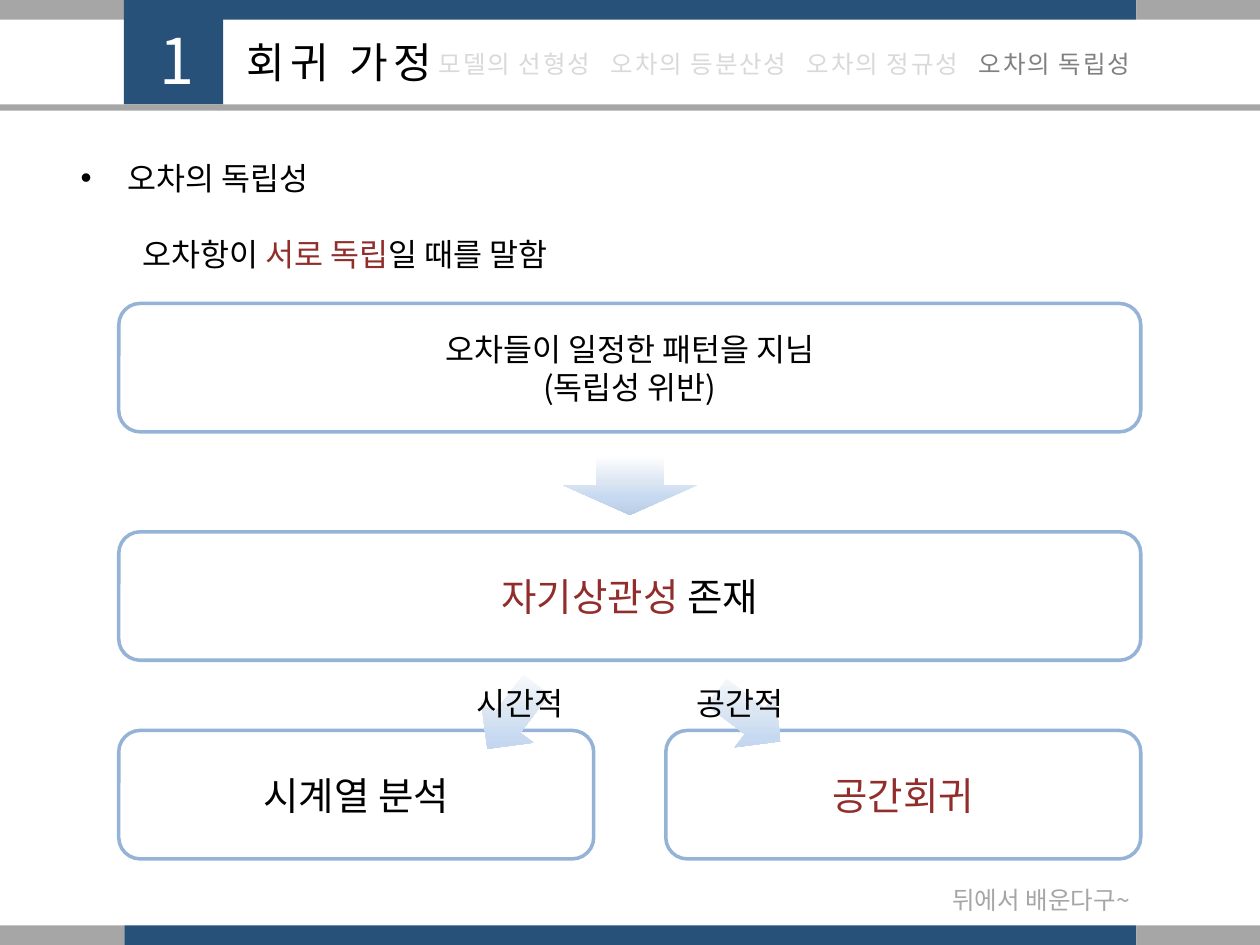
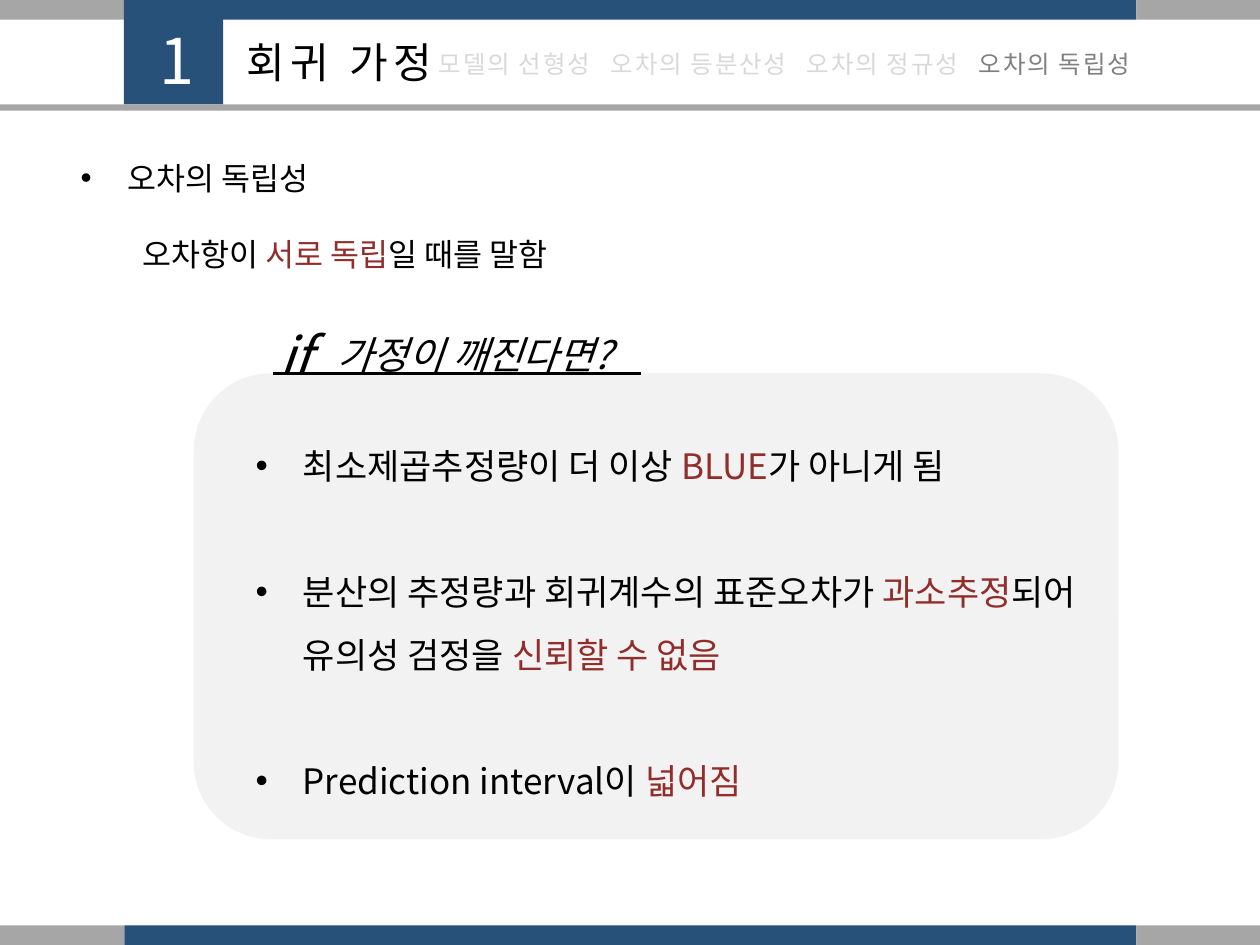
from lxml import etree
from pptx import Presentation
from pptx.dml.color import RGBColor
from pptx.enum.shapes import MSO_CONNECTOR, MSO_SHAPE
from pptx.enum.text import MSO_ANCHOR, MSO_AUTO_SIZE, PP_ALIGN
from pptx.oxml.ns import qn
from pptx.util import Pt

RECT, ROUNDED = MSO_SHAPE.RECTANGLE, MSO_SHAPE.ROUNDED_RECTANGLE
ARROW, STRAIGHT = MSO_SHAPE.RIGHT_ARROW, MSO_CONNECTOR.STRAIGHT
LEFT, CENTER, RIGHT = PP_ALIGN.LEFT, PP_ALIGN.CENTER, PP_ALIGN.RIGHT
TOP, MIDDLE = MSO_ANCHOR.TOP, MSO_ANCHOR.MIDDLE

FONT = "Noto Sans CJK KR"
NAVY, GRAY, BLACK, WHITE = "28517A", "A6A6A6", "000000", "FFFFFF"
RED, BORDER, PANEL = "912E2C", "95B3D7", "F2F2F2"
FADED, CURRENT = "D9D9D9", "808080"
ARROW_FADE = [(0, WHITE), (44, "DCE6F2"), (71, "C6D9F1"), (100, "B9CDE5")]

WIDTH, HEIGHT = 720, 540
BAND = 11.2
BAND_EDGES = [0, 71, 649.4, WIDTH]
HANGING = 27
TOPICS = ["모델의 선형성", "오차의 등분산성", "오차의 정규성", "오차의 독립성"]
TOPIC_TABS = [98.3, 210.3, 308.6]


def rgb(hex_color):
    return RGBColor.from_string(hex_color)


def place(shape, box):
    shape.left, shape.top, shape.width, shape.height = map(Pt, box)
    return shape


def set_bullet(paragraph, bullet):
    """Hang the paragraph; a bullet of None keeps the indent without a mark."""
    properties = paragraph._p.get_or_add_pPr()
    properties.set("marL", str(Pt(HANGING)))
    properties.set("indent", str(-Pt(HANGING) if bullet else 0))
    if bullet:
        etree.SubElement(properties, qn("a:buFont"), typeface="Arial")
        etree.SubElement(properties, qn("a:buChar"), char=bullet)
    else:
        etree.SubElement(properties, qn("a:buNone"))


def set_tabs(paragraph, stops):
    tab_list = etree.SubElement(paragraph._p.get_or_add_pPr(), qn("a:tabLst"))
    for stop in stops:
        etree.SubElement(tab_list, qn("a:tab"), pos=str(Pt(stop)), algn="l")


def add_run(paragraph, words, color, size, italic, tracking):
    run = paragraph.add_run()
    run.text = words
    run.font.size, run.font.name = Pt(size), FONT
    run.font.bold, run.font.italic = False, italic
    run.font.color.rgb = rgb(color)
    properties = run._r.get_or_add_rPr()
    etree.SubElement(properties, qn("a:ea"), typeface=FONT)
    if tracking:
        properties.set("spc", str(tracking * 100))


def write(shape, paragraphs, size=18, align=LEFT, anchor=TOP, spacing=1.0,
          italic=False, tracking=0, bullets=None, gaps=None, tabs=None):
    """Fill a shape with paragraphs, each a list of (words, colour) runs."""
    frame = shape.text_frame
    frame.word_wrap, frame.auto_size = True, MSO_AUTO_SIZE.NONE
    frame.vertical_anchor = anchor
    frame.margin_left = frame.margin_right = Pt(7.2)
    frame.margin_top = frame.margin_bottom = Pt(3.6)
    for index, runs in enumerate(paragraphs):
        paragraph = frame.add_paragraph() if index else frame.paragraphs[0]
        paragraph.alignment, paragraph.line_spacing = align, spacing
        paragraph.space_before = Pt(gaps[index] if gaps else 0)
        paragraph.space_after = Pt(0)
        if bullets:
            set_bullet(paragraph, bullets[index])
        if tabs:
            set_tabs(paragraph, tabs)
        for words, color in runs:
            add_run(paragraph, words, color, size, italic, tracking)


def add_text(slide, box, paragraphs, **style):
    write(slide.shapes.add_textbox(*map(Pt, box)), paragraphs, **style)


def add_block(slide, kind, box, fill=None, line=None):
    block = slide.shapes.add_shape(kind, *map(Pt, box))
    block.shadow.inherit = False
    if fill:
        block.fill.solid()
        block.fill.fore_color.rgb = rgb(fill)
    else:
        block.fill.background()
    if line:
        block.line.color.rgb = rgb(line)
        block.line.width = Pt(2)
    else:
        block.line.fill.background()
    return block


def add_fading_arrow(slide, box, rotation):
    arrow = add_block(slide, ARROW, box)
    arrow.rotation = rotation
    no_fill = arrow.element.spPr.find(qn("a:noFill"))
    fade = etree.Element(qn("a:gradFill"), rotWithShape="0")
    stops = etree.SubElement(fade, qn("a:gsLst"))
    for position, color in ARROW_FADE:
        stop = etree.SubElement(stops, qn("a:gs"), pos=str(position * 1000))
        etree.SubElement(stop, qn("a:srgbClr"), val=color)
    etree.SubElement(fade, qn("a:lin"), ang="5400000", scaled="0")
    no_fill.getparent().replace(no_fill, fade)


def add_band(slide, top):
    for left, right, color in zip(BAND_EDGES, BAND_EDGES[1:], [GRAY, NAVY, GRAY]):
        add_block(slide, RECT, (left, top, right - left, BAND), color)


def add_header(slide, box):
    """Section number, title and topic trail above a gray rule."""
    left, top, width, height = box
    add_block(slide, RECT, (left + 70.8, top, 56.8, height), NAVY)
    add_block(slide, RECT, (left, top + height, width, 3.6), GRAY)
    add_text(slide, (left + 69.8, top + 8.6, 62.6, 51.1), [[("1", WHITE)]],
             size=36, align=CENTER, tracking=3)
    title = place(slide.shapes.title, (left + 133.9, top + 17.3, 147, 36))
    write(title, [[("회귀 가정", BLACK)]], size=24, tracking=3)
    trail = [("\t".join(TOPICS[:-1]) + "\t", FADED), (TOPICS[-1], CURRENT)]
    add_text(slide, (left + 243.6, top + 24.5, 430, 24.5), [trail],
             size=14, tracking=1, tabs=TOPIC_TABS)


def add_definition(slide, heading, box):
    left, top, width, _ = box
    place(heading, (left, top, 300, 28.8))
    write(heading, [[("오차의 독립성", BLACK)]], bullets=["•"])
    add_text(slide, (left + 35.3, top + 43.9, width - 35.3, 28.8),
             [[("오차항이 ", BLACK), ("서로 독립", RED), ("일 때를 말함", BLACK)]])


def start_slide(deck, layout):
    slide = deck.slides.add_slide(deck.slide_layouts[layout])
    add_band(slide, 0)
    add_band(slide, HEIGHT - BAND)
    add_header(slide, (0, 0, WIDTH, 59.6))
    add_definition(slide, slide.placeholders[1], (38.9, 87.1, 517, 72.7))
    return slide


def add_flow(slide, box):
    """Violation, autocorrelation, then the two branches that follow from it."""
    left, top, width, _ = box
    row, half = 73.4, 271.4
    far = left + width - half
    steps = [
        (left, 0, width, 18, [[("오차들이 일정한 패턴을 지님", BLACK)],
                              [("(독립성 위반)", BLACK)]]),
        (left, 130.5, width, 22, [[("자기상관성", RED), (" 존재", BLACK)]]),
        (left, 244, half, 22, [[("시계열 분석", BLACK)]]),
        (far, 244, half, 22, [[("공간회귀", RED)]]),
    ]
    for x, offset, step_width, size, words in steps:
        step = add_block(slide, ROUNDED, (x, top + offset, step_width, row), line=BORDER)
        write(step, words, size=size, align=CENTER, anchor=MIDDLE)

    add_fading_arrow(slide, (left + width / 2 - 17, top + 65.6, 34, 76.5), 90)
    branches = [("시간적", 201.6, 186.5, 127.5), ("공간적", 337, 312.5, 37.5)]
    for _, arrow_left, _, rotation in branches:
        add_fading_arrow(slide, (left + arrow_left, top + 217.5, 46, 37.4), rotation)
    for label, _, label_left, _ in branches:
        add_text(slide, (left + label_left, top + 213.8, 85, 28.8),
                 [[(label, BLACK)]], align=CENTER)
    add_text(slide, (left + width - 118.7, top + 320.4, 119.5, 30.2),
             [[("뒤에서 배운다구~", GRAY)]], size=14, align=RIGHT, spacing=1.5)


def add_consequences(slide, points, box):
    """Rounded panel listing what follows, under an underlined question."""
    left, top, width, height = box
    panel = add_block(slide, ROUNDED, box, PANEL)
    place(points, (left + 28.1, top + 25.2, width - 33.7, height - 44.6))
    points.element.addprevious(panel.element)
    write(points, [
        [("최소제곱추정량이 더 이상 ", BLACK), ("BLUE", RED), ("가 아니게 됨", BLACK)],
        [("분산의 추정량과 회귀계수의 표준오차가 ", BLACK), ("과소추정", RED), ("되어", BLACK)],
        [("유의성 검정을 ", BLACK), ("신뢰할 수 없음", RED)],
        [("Prediction interval이 ", BLACK), ("넓어짐", RED)],
    ], size=20, spacing=1.5, bullets=["•", "•", None, "•"], gaps=[0, 36, 0, 36])

    add_text(slide, (left + 45.4, top - 27.4, 230.4, 33.8),
             [[("가정이 깨진다면?", BLACK)]], size=22, align=CENTER, italic=True)
    underline = slide.shapes.add_connector(
        STRAIGHT, Pt(left + 45.4), Pt(top), Pt(left + 255.6), Pt(top))
    underline.line.color.rgb = rgb(BLACK)
    underline.line.width = Pt(1.5)
    etree.SubElement(underline.element.spPr, qn("a:effectLst"))
    add_text(slide, (left + 41.8, top - 32.4, 67, 43.9), [[("if", BLACK)]],
             size=30, italic=True)


def main():
    deck = Presentation()
    deck.slide_width, deck.slide_height = Pt(WIDTH), Pt(HEIGHT)
    independence = start_slide(deck, layout=1)
    add_flow(independence, (67.9, 173.4, 584, 350))
    violation = start_slide(deck, layout=3)
    add_consequences(violation, violation.placeholders[2], (110.7, 213.3, 528.5, 266.4))
    deck.save("out.pptx")


if __name__ == "__main__":
    main()
